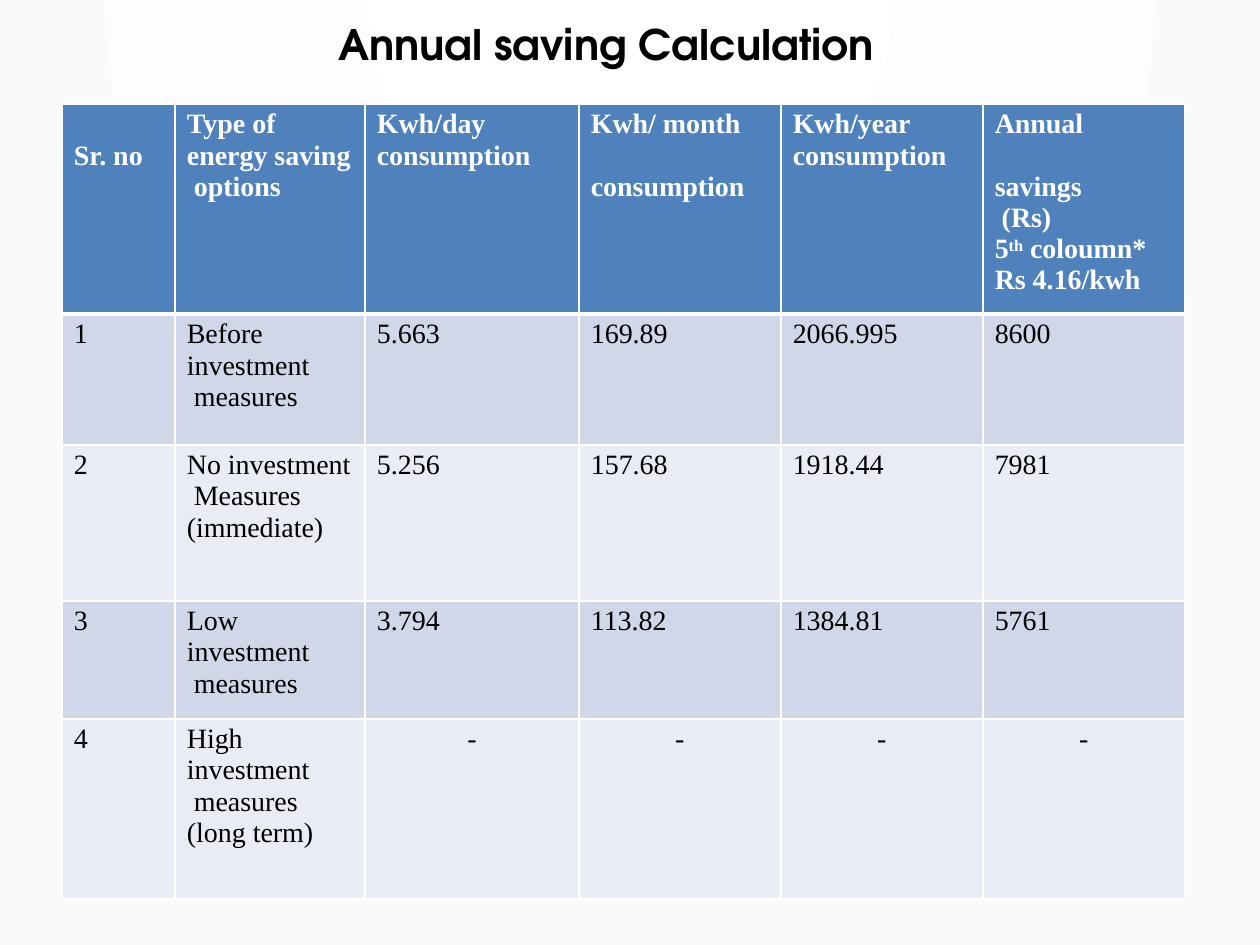
from copy import deepcopy

from lxml import etree
from pptx import Presentation
from pptx.dml.color import RGBColor
from pptx.enum.text import PP_ALIGN
from pptx.oxml.ns import qn
from pptx.util import Emu, Pt

LEFT, CENTER = PP_ALIGN.LEFT, PP_ALIGN.CENTER
PX = 914400 // 126
WHITE, BLACK = "FFFFFF", "000000"
HEAD, DARK, LIGHT = "4F81BC", "D0D7E8", "E9ECF4"


def color(code):
    return RGBColor.from_string(code)


def write(para, text, **style):
    """Write text; \\v breaks a line and a pair of ^ marks a superscript."""
    ink = style.pop("ink")
    for i, part in enumerate(text.split("^")):
        for j, line in enumerate(part.split("\v")):
            if j:
                para.add_line_break()
                para._p[-1].append(deepcopy(run._r.rPr))
            run = para.add_run()
            run.text = line
            for name, value in style.items():
                setattr(run.font, name, value)
            run.font.color.rgb = color(ink)
            if i % 2:
                run._r.rPr.set("baseline", "26000")


deck = Presentation()
deck.slide_width, deck.slide_height = 1260 * PX, 945 * PX
slide = deck.slides.add_slide(deck.slide_layouts[6])

# Background: a faint glow from the top centre
fill = slide.background.fill
fill.gradient()
for stop, code in zip(fill.gradient_stops, (WHITE, "FAFAFA")):
    stop.color.rgb = color(code)
grad = slide.background._cSld.find(".//" + qn("a:gradFill"))
grad.remove(grad.find(qn("a:lin")))
glow = etree.SubElement(grad, qn("a:path"), {"path": "circle"})
etree.SubElement(glow, qn("a:fillToRect"), l="43000", t="0", r="43000", b="100000")

# Title
title = slide.shapes.add_textbox(338 * PX, 18 * PX, 563 * PX, 53 * PX)
frame = title.text_frame
frame.word_wrap = True
for side in ("left", "top", "right", "bottom"):
    setattr(frame, "margin_" + side, 0)
frame.margin_top = PX
write(frame.paragraphs[0], "Annual saving Calculation", ink=BLACK,
      name="TeX Gyre Adventor", size=Pt(24), bold=True)

# Savings table: a new line in a cell starts a paragraph after a gap
COLS = (113, 190, 214, 202, 202, 202)
ROWS = (210, 131, 156, 118, 180)
DATA = (
    ("Sr. no", "Type of\venergy saving\v options", "Kwh/day\vconsumption",
     "Kwh/ month\nconsumption", "Kwh/year\vconsumption",
     "Annual\nsavings\v (Rs)\v5^th^ coloumn*\vRs 4.16/kwh"),
    ("1", "Before\vinvestment\v measures", "5.663", "169.89", "2066.995", "8600"),
    ("2", "No investment\v Measures\v(immediate)", "5.256", "157.68", "1918.44", "7981"),
    ("3", "Low\vinvestment\v measures", "3.794", "113.82", "1384.81", "5761"),
    ("4", "High\vinvestment\v measures\v(long term)", "-", "-", "-", "-"),
)
table = slide.shapes.add_table(len(ROWS), len(COLS), 62 * PX, 104 * PX,
                               sum(COLS) * PX, sum(ROWS) * PX).table
for col, wide in zip(table.columns, COLS):
    col.width = Emu(wide * PX)
for row, high in zip(table.rows, ROWS):
    row.height = Emu(high * PX)

for r, texts in enumerate(DATA):
    top = r == 0
    back = HEAD if top else DARK if r % 2 else LIGHT
    for c, text in enumerate(texts):
        cell = table.cell(r, c)
        dash = text == "-"
        cell.margin_left = 0 if dash else 12 * PX
        cell.margin_right = cell.margin_bottom = 0
        cell.margin_top = (37 if top and c == 0 else 5) * PX
        for n, block in enumerate(text.split("\n")):
            para = cell.text_frame.add_paragraph() if n else cell.text_frame.paragraphs[0]
            para.alignment = CENTER if dash else LEFT
            if n:
                para.space_before = Pt(18)
            write(para, block, ink=WHITE if top else BLACK,
                  name="Times New Roman", size=Pt(16), bold=top)
        props = cell._tc.get_or_add_tcPr()
        for edge in ("lnL", "lnR", "lnT", "lnB"):
            thick = (r, edge) in ((0, "lnB"), (1, "lnT"))
            line = etree.SubElement(props, qn("a:" + edge), w=str(Pt(3 if thick else 1)))
            paint = etree.SubElement(line, qn("a:solidFill"))
            etree.SubElement(paint, qn("a:srgbClr"), val=WHITE)
        cell.fill.solid()
        cell.fill.fore_color.rgb = color(back)

deck.save("out.pptx")
